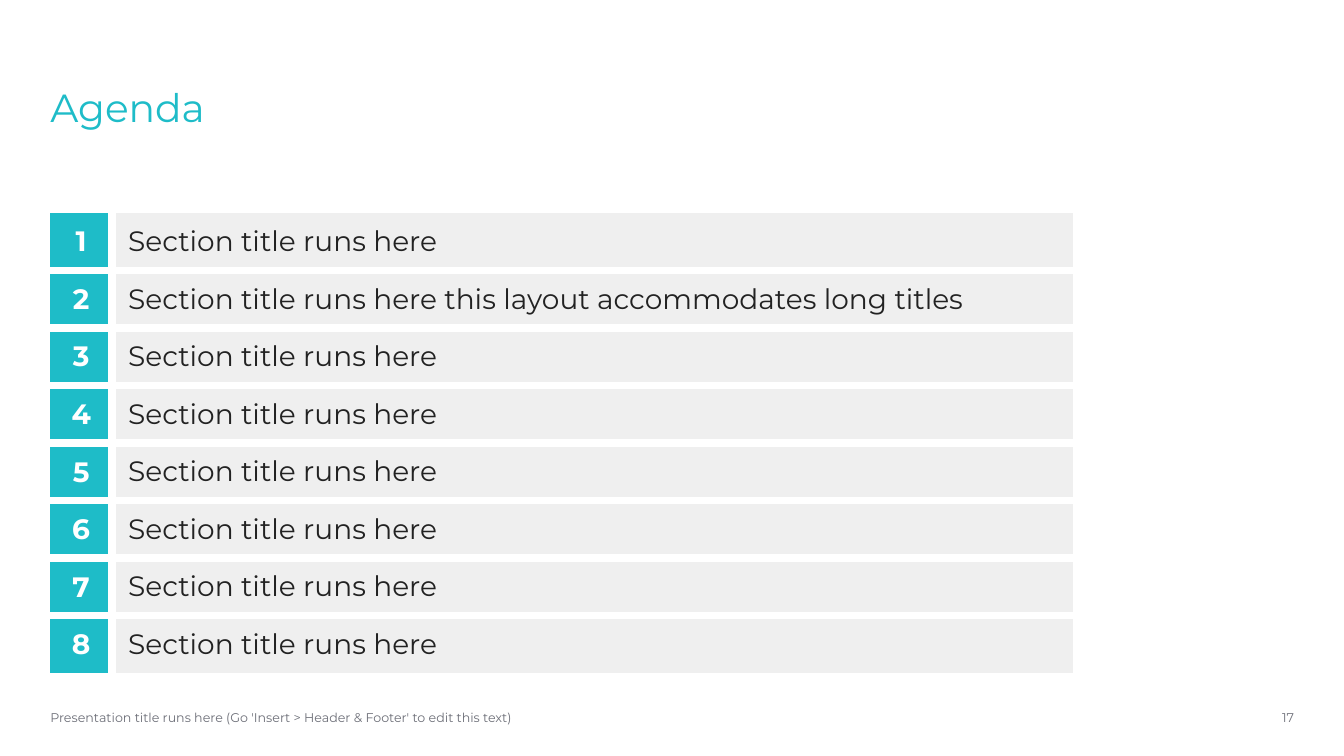
from dataclasses import dataclass

from lxml import etree
from pptx import Presentation
from pptx.dml.color import RGBColor
from pptx.enum import text
from pptx.oxml import ns
from pptx.util import Cm, Pt


@dataclass(frozen=True)
class Theme:
    font: str = "Montserrat"
    teal: str = "1EBCC8"
    pale: str = "EFEFEF"
    dark: str = "222222"
    grey: str = "6D6F78"
    white: str = "FFFFFF"
    title_size: int = 28
    agenda_size: int = 20
    footer_size: int = 9
    gap: int = 6


THEME = Theme()
SECTION = "Section title runs here"
SECTIONS = [SECTION, SECTION + " this layout accommodates long titles"] + [SECTION] * 6
FOOTER = "Presentation title runs here (Go 'Insert > Header & Footer' to edit this text)"
LEFT = 1.27
FOOTER_TOP = 17.75


def write(frame, words, size, color, align=text.PP_ALIGN.LEFT, bold=False):
    para = frame.paragraphs[0]
    para.text = words
    para.alignment = align
    para.font.name = THEME.font
    para.font.size = Pt(size)
    para.font.bold = bold
    para.font.color.rgb = RGBColor.from_string(color)
    return para


def add_text(page, place, words, size, color, anchor, align=text.PP_ALIGN.LEFT):
    frame = page.shapes.add_textbox(*map(Cm, place)).text_frame
    frame.word_wrap = True
    frame.vertical_anchor = anchor
    frame.margin_left = frame.margin_right = frame.margin_top = frame.margin_bottom = 0
    return write(frame, words, size, color, align)


def set_borders(cell, inner):
    properties = cell._tc.get_or_add_tcPr()
    for side in "LRTB":
        line = etree.SubElement(properties, ns.qn(f"a:ln{side}"))
        if side in inner:
            line.set("w", str(Pt(THEME.gap)))
            fill = etree.SubElement(line, ns.qn("a:solidFill"))
            etree.SubElement(fill, ns.qn("a:srgbClr"), val=THEME.white)
        else:
            line.set("w", "0")
            etree.SubElement(line, ns.qn("a:noFill"))


def fill_cell(cell, words, inner, fill, color, margin, align, bold):
    set_borders(cell, inner)
    cell.fill.solid()
    cell.fill.fore_color.rgb = RGBColor.from_string(fill)
    cell.margin_left = cell.margin_right = Cm(0.41)
    cell.margin_top = cell.margin_bottom = Cm(margin)
    cell.vertical_anchor = text.MSO_ANCHOR.MIDDLE
    write(cell.text_frame, words, THEME.agenda_size, color, align, bold)


def add_agenda(page, sections):
    count = len(sections)
    place = map(Cm, (LEFT, 5.36, 25.78, 1.45 * count))
    table = page.shapes.add_table(count, 2, *place).table
    table.first_row = table.horz_banding = False
    for column, width in zip(table.columns, (1.55, 24.23)):
        column.width = Cm(width)
    for index, section in enumerate(sections):
        inner = ("T" if index else "") + ("B" if index < count - 1 else "")
        fill_cell(table.cell(index, 0), str(index + 1), inner + "R",
                  THEME.teal, THEME.white, 0.3, text.PP_ALIGN.CENTER, True)
        fill_cell(table.cell(index, 1), section, inner + "L",
                  THEME.pale, THEME.dark, 0.2, text.PP_ALIGN.LEFT, False)


def main():
    deck = Presentation()
    deck.slide_width, deck.slide_height = Cm(33.87), Cm(19.05)
    page = deck.slides.add_slide(deck.slide_layouts[6])
    title = add_text(page, (LEFT, 2.24, 29.31, 3.15), "Agenda",
                     THEME.title_size, THEME.teal, text.MSO_ANCHOR.TOP)
    title.line_spacing = 0.9
    add_agenda(page, SECTIONS)
    add_text(page, (LEFT, FOOTER_TOP, 23.14, 0.64), FOOTER,
             THEME.footer_size, THEME.grey, text.MSO_ANCHOR.MIDDLE)
    add_text(page, (30.58, FOOTER_TOP, 2.03, 0.64), "17",
             THEME.footer_size, THEME.grey, text.MSO_ANCHOR.MIDDLE, text.PP_ALIGN.RIGHT)
    deck.save("out.pptx")


if __name__ == "__main__":
    main()
